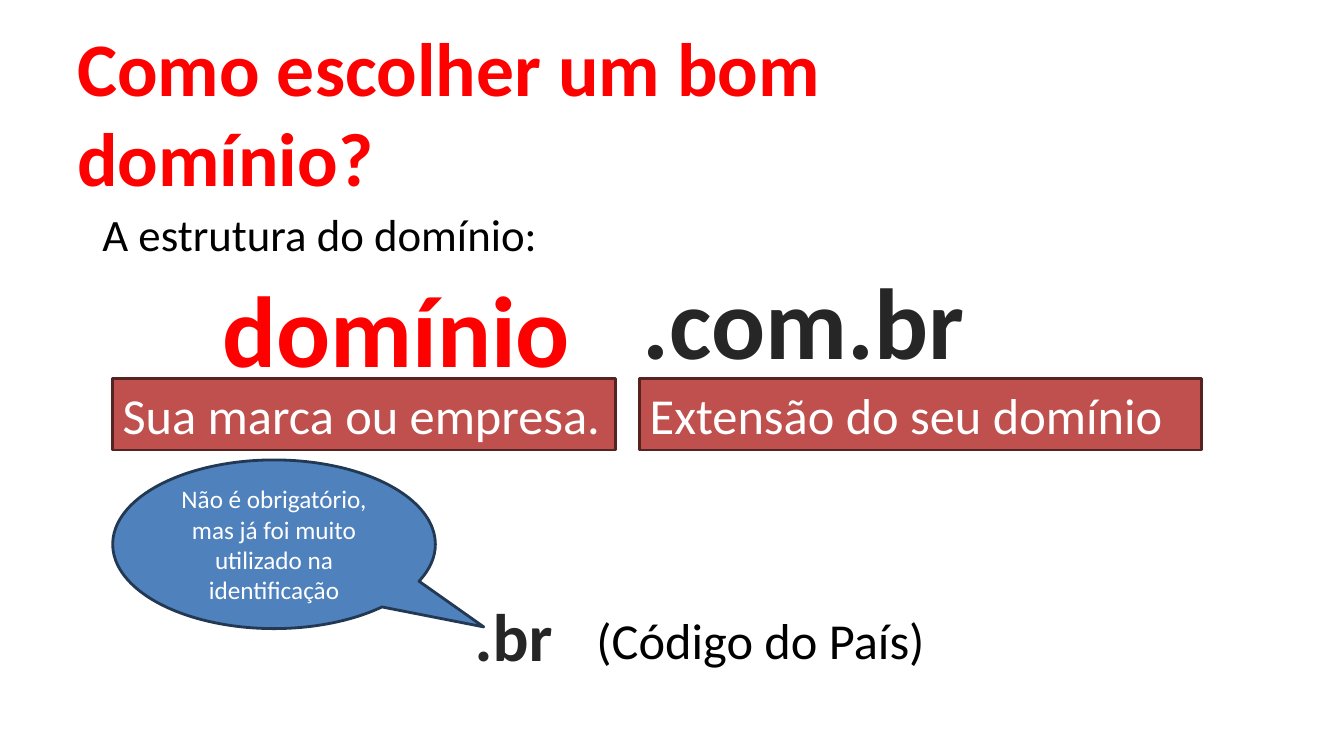
from dataclasses import dataclass

from pptx import Presentation
from pptx.dml.color import RGBColor
from pptx.enum.shapes import MSO_SHAPE as Preset
from pptx.enum.text import MSO_ANCHOR as Anchor, MSO_AUTO_SIZE as AutoSize, PP_ALIGN as Align
from pptx.oxml.ns import qn
from pptx.util import Pt


@dataclass(frozen=True)
class Theme:
    font: str = "Calibri"
    red: str = "FF0000"
    black: str = "000000"
    dark: str = "262626"
    white: str = "FFFFFF"
    brick: str = "C0504D"
    brick_line: str = "542322"
    blue: str = "4F81BD"
    blue_line: str = "233953"
    title_size: int = 54
    domain_size: int = 72
    country_size: int = 48
    label_size: int = 36
    body_size: int = 32
    callout_size: int = 18


THEME = Theme()


def apply_format(target, values):
    for attribute, value in values.items():
        setattr(target, attribute, value)


def write(frame, wording, size, color, bold=False, align=Align.LEFT,
          anchor=Anchor.TOP, fit=AutoSize.NONE):
    apply_format(frame, {"word_wrap": True, "auto_size": fit, "vertical_anchor": anchor})
    paragraph = frame.paragraphs[0]
    paragraph.alignment = align
    run = paragraph.add_run()
    run.text = wording
    apply_format(run.font, {"name": THEME.font, "size": Pt(size), "bold": bold})
    run.font.color.rgb = RGBColor.from_string(color)


def fill_placeholder(placeholder, box, wording, size, color, **style):
    sides = ("left", "top", "width", "height")
    apply_format(placeholder, dict(zip(sides, map(Pt, box))))
    write(placeholder.text_frame, wording, size, color, **style)


def remove_bullet(paragraph):
    properties = paragraph._p.get_or_add_pPr()
    properties.set("marL", "0")
    properties.set("indent", "0")
    properties.append(properties.makeelement(qn("a:buNone"), {}))


def add_text(slide, box, wording, size, color, **style):
    caption = slide.shapes.add_textbox(*map(Pt, box))
    write(caption.text_frame, wording, size, color, fit=AutoSize.SHAPE_TO_FIT_TEXT, **style)


def add_panel(slide, preset, box, fill, line, wording, size, **style):
    panel = slide.shapes.add_shape(preset, *map(Pt, box))
    panel.shadow.inherit = False
    panel.fill.solid()
    panel.fill.fore_color.rgb = RGBColor.from_string(fill)
    panel.line.color.rgb = RGBColor.from_string(line)
    panel.line.width = Pt(2)
    write(panel.text_frame, wording, size, THEME.white, **style)
    return panel


def main():
    deck = Presentation()
    apply_format(deck, {"slide_width": Pt(960), "slide_height": Pt(540)})
    slide = deck.slides.add_slide(deck.slide_layouts[1])

    fill_placeholder(slide.shapes.title, (48, 34.5, 734.5, 90),
                     "Como escolher um bom domínio?", THEME.title_size, THEME.red,
                     bold=True, anchor=Anchor.MIDDLE)
    structure = slide.placeholders[1]
    fill_placeholder(structure, (66, 144, 828, 342.5),
                     "A estrutura do domínio:", THEME.body_size, THEME.black)
    remove_bullet(structure.text_frame.paragraphs[0])

    add_text(slide, (0, 187, 582.5, 94.5), "domínio ", THEME.domain_size, THEME.red,
             bold=True, align=Align.CENTER)
    add_text(slide, (381.5, 181.5, 401, 94.5), ".com.br ", THEME.domain_size, THEME.dark,
             bold=True, align=Align.CENTER)

    for left, width, meaning in ((80.5, 359.5, "Sua marca ou empresa."),
                                 (457, 401, "Extensão do seu domínio")):
        add_panel(slide, Preset.RECTANGLE, (left, 270.5, width, 51), THEME.brick,
                  THEME.brick_line, meaning, THEME.label_size,
                  fit=AutoSize.SHAPE_TO_FIT_TEXT)

    add_text(slide, (419, 431.5, 401, 51), "(Código do País)", THEME.label_size, THEME.black)
    add_text(slide, (332, 421, 76.5, 65.5), ".br", THEME.country_size, THEME.dark, bold=True)

    remark = add_panel(slide, Preset.OVAL_CALLOUT, (80.5, 328.5, 230.5, 120.5), THEME.blue,
                       THEME.blue_line,
                       "Não é obrigatório, mas já foi muito utilizado na identificação",
                       THEME.callout_size, align=Align.CENTER, anchor=Anchor.MIDDLE)
    for index, offset in enumerate((0.65, 0.49)):
        remark.adjustments[index] = offset

    deck.save("out.pptx")


if __name__ == "__main__":
    main()
